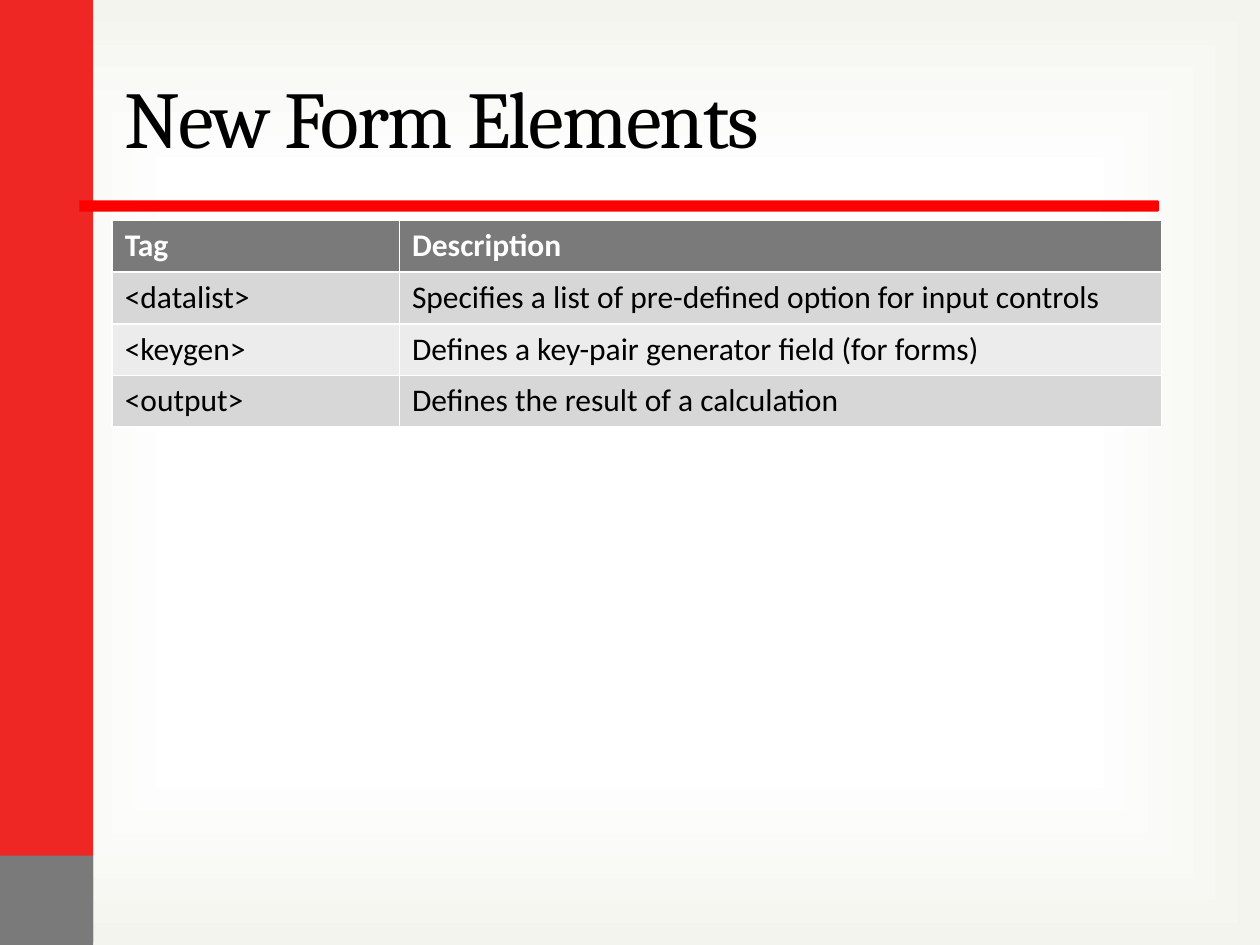
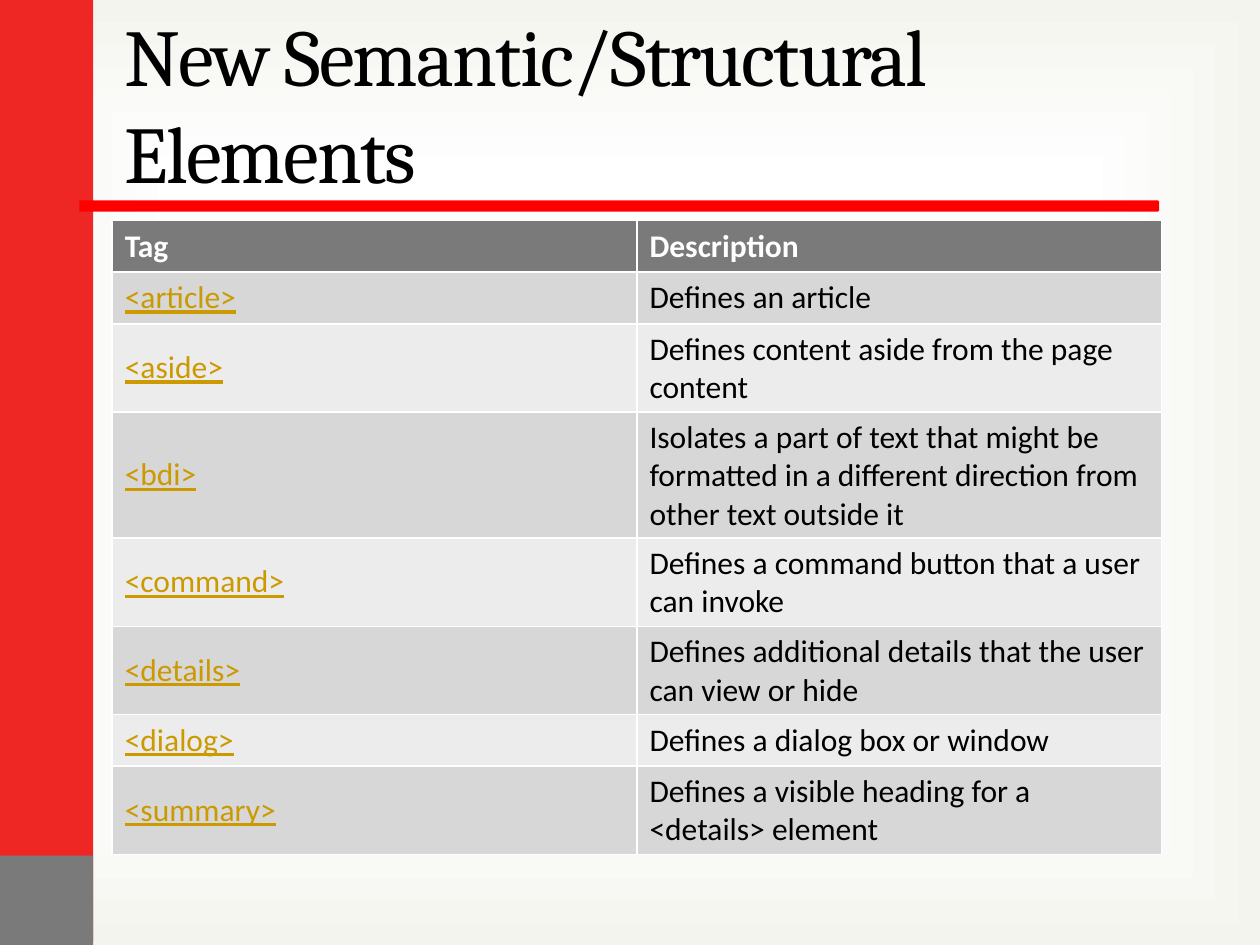
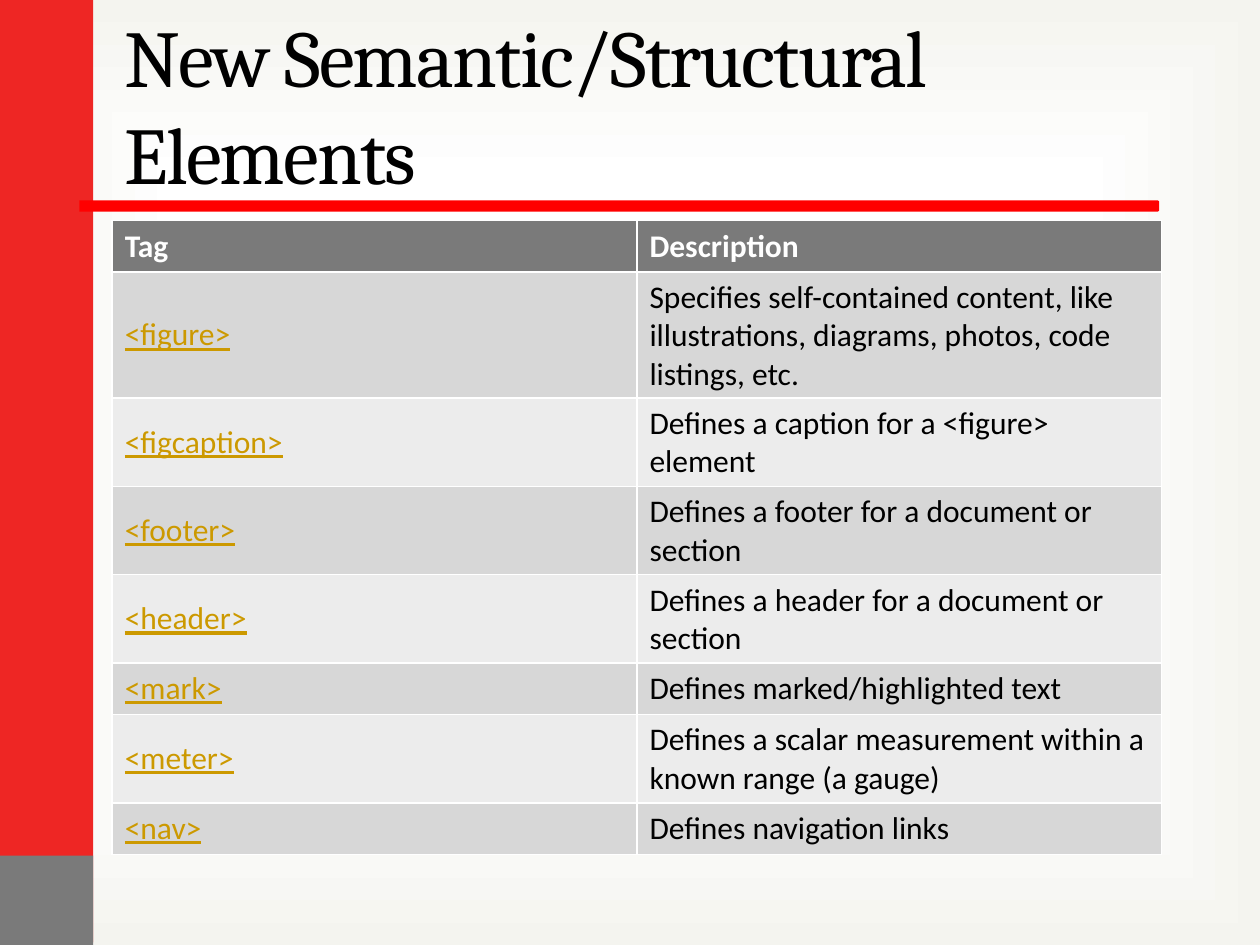
from pptx import Presentation
from pptx.dml.color import RGBColor
from pptx.enum.shapes import MSO_SHAPE
from pptx.enum.text import MSO_ANCHOR
from pptx.oxml import parse_xml
from pptx.oxml.ns import nsdecls
from pptx.util import Inches, Pt

COLORS = {
    "side": "EE2624", "gray": "7A7A7A", "rule": "FF0000",
    "band_dark": "D7D7D7", "band_light": "ECECEC",
    "text": "000000", "white": "FFFFFF", "tag": "CC9900", "edge": "F4F4EF",
}
LEFT, WIDTH = 0.89, 8.33

# Side bar, its foot and the rule under the title: kind, box, rotation, colour
DECORATION = [
    (MSO_SHAPE.RECTANGLE, (-0.01, -0.02, 0.75, 7.5), 0, "side"),
    (MSO_SHAPE.RECTANGLE, (-0.01, 6.79, 0.75, 0.75), 0, "gray"),
    (MSO_SHAPE.ROUND_2_SAME_RECTANGLE, (4.87, -2.65, 0.09, 8.57), 90, "rule"),
]

# Title, title top, first column width, tags underlined, rows
SLIDES = [
    ("New Form Elements", 0.3, 2.28, False, [
        ("<datalist>", "Specifies a list of pre-defined option for input controls"),
        ("<keygen>", "Defines a key-pair generator field (for forms)"),
        ("<output>", "Defines the result of a calculation"),
    ]),
    ("New Semantic/Structural Elements", 0.19, WIDTH / 2, True, [
        ("<article>", "Defines an article"),
        ("<aside>", "Defines content aside from the page content"),
        ("<bdi>", "Isolates a part of text that might be formatted in a "
                  "different direction from other text outside it"),
        ("<command>", "Defines a command button that a user can invoke"),
        ("<details>", "Defines additional details that the user can view or hide"),
        ("<dialog>", "Defines a dialog box or window"),
        ("<summary>", "Defines a visible heading for a <details> element"),
    ]),
    ("New Semantic/Structural Elements", 0.2, WIDTH / 2, True, [
        ("<figure>", "Specifies self-contained content, like illustrations, "
                     "diagrams, photos, code listings, etc."),
        ("<figcaption>", "Defines a caption for a <figure> element"),
        ("<footer>", "Defines a footer for a document or section"),
        ("<header>", "Defines a header for a document or section"),
        ("<mark>", "Defines marked/highlighted text"),
        ("<meter>", "Defines a scalar measurement within a known range (a gauge)"),
        ("<nav>", "Defines navigation links"),
    ]),
]


def color(name):
    return RGBColor.from_string(COLORS[name])


def style(paragraph, font_name, size, color_name):
    paragraph.font.name = font_name
    paragraph.font.size = Pt(size)
    paragraph.font.color.rgb = color(color_name)


prs = Presentation()
prs.slide_width, prs.slide_height = Inches(10), Inches(7.5)

# Shared background: white centre fading to the edges
prs.slide_master.background.fill.solid()
plain_fill = prs.slide_master.element.xpath("p:cSld/p:bg/p:bgPr/a:solidFill")[0]
stops = "".join(
    f'<a:gs pos="{position * 1000}"><a:srgbClr val="{COLORS[name]}"/></a:gs>'
    for position, name in [(0, "white"), (62, "white"), (100, "edge")])
plain_fill.getparent().replace(plain_fill, parse_xml(
    f'<a:gradFill {nsdecls("a")} rotWithShape="1"><a:gsLst>{stops}</a:gsLst>'
    '<a:path path="rect"><a:fillToRect l="50000" t="50000" r="50000" b="50000"/>'
    '</a:path></a:gradFill>'))

for title, title_top, tag_width, underlined, entries in SLIDES:
    slide = prs.slides.add_slide(prs.slide_layouts[6])

    # Bands
    for kind, box, rotation, fill_name in DECORATION:
        band = slide.shapes.add_shape(kind, *map(Inches, box))
        band.rotation = rotation
        band.shadow.inherit = False
        band.fill.solid()
        band.fill.fore_color.rgb = color(fill_name)
        band.line.fill.background()

    # Title
    heading = slide.shapes.add_textbox(
        Inches(LEFT), Inches(title_top), Inches(WIDTH), Inches(1.25)).text_frame
    heading.word_wrap = True
    heading.vertical_anchor = MSO_ANCHOR.MIDDLE
    heading.text = title
    style(heading.paragraphs[0], "Cambria", 46, "text")
    heading.paragraphs[0].runs[0].font._element.set("spc", "-100")

    # Table of tags; rows grow with their text
    rows = [("Tag", "Description")] + entries
    tags = slide.shapes.add_table(
        len(rows), 2, Inches(LEFT), Inches(1.75),
        Inches(WIDTH), Inches(0.41 * len(rows))).table
    tags.columns[0].width = Inches(tag_width)
    tags.columns[1].width = Inches(WIDTH - tag_width)
    for r, row in enumerate(rows):
        tags.rows[r].height = Inches(0.41)
        for c, text in enumerate(row):
            cell = tags.cell(r, c)
            cell.text = text
            if underlined:
                cell.vertical_anchor = MSO_ANCHOR.MIDDLE
            is_tag = underlined and r > 0 and c == 0
            text_color = "white" if r == 0 else "tag" if is_tag else "text"
            paragraph = cell.text_frame.paragraphs[0]
            style(paragraph, "Calibri", 18, text_color)
            paragraph.font.bold = r == 0
            paragraph.font.underline = is_tag
            cell.fill.solid()
            cell.fill.fore_color.rgb = color(
                "gray" if r == 0 else "band_dark" if r % 2 else "band_light")

prs.save("out.pptx")
